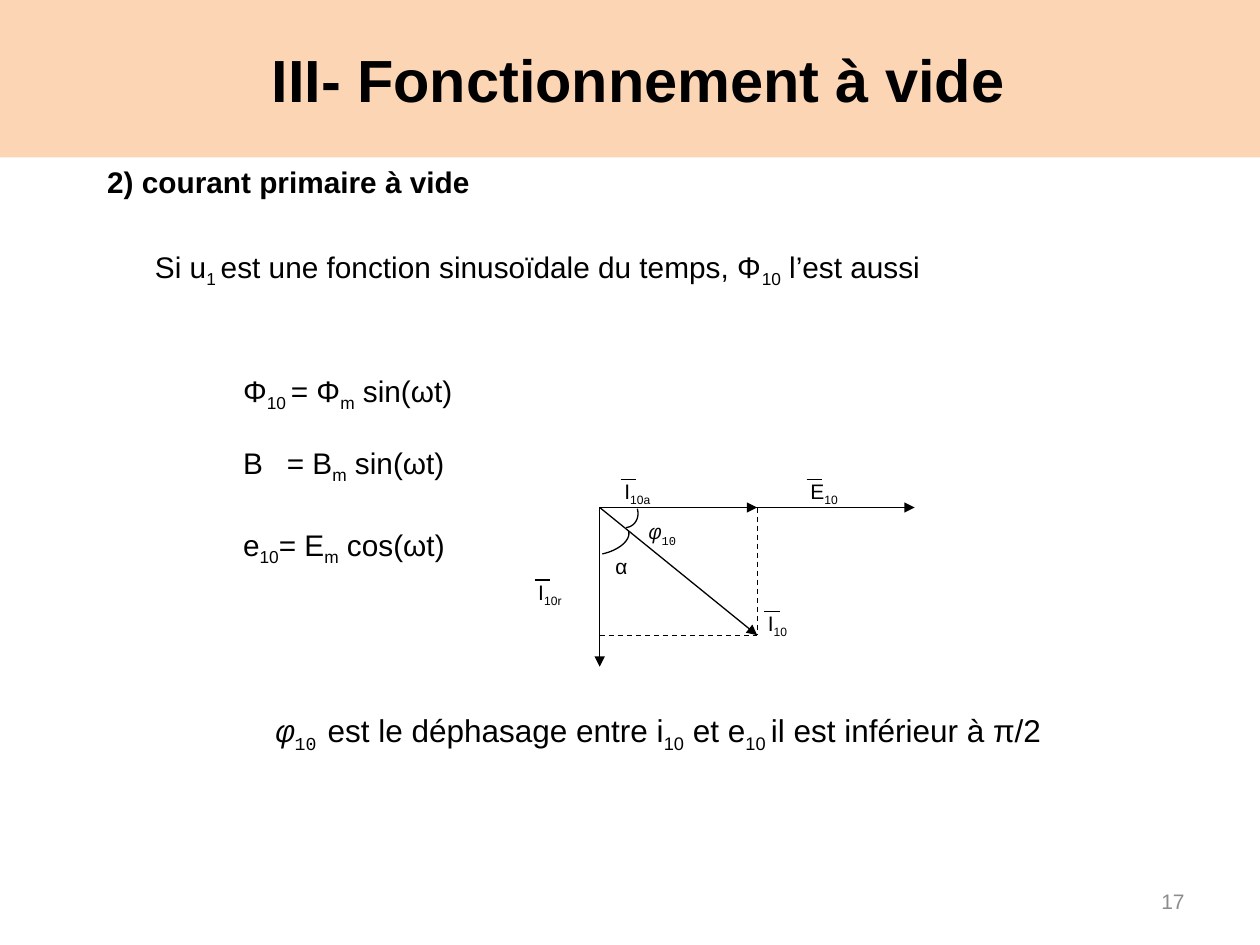
import pptx
import pptx.util
import pptx.dml.color
import pptx.enum.dml
import pptx.enum.shapes
import pptx.enum.text
import pptx.oxml.ns
from lxml import etree

Pt = pptx.util.Pt
ALIGN = pptx.enum.text.PP_ALIGN
ANCHOR = pptx.enum.text.MSO_ANCHOR
BLACK = "000000"
MONO = "Courier New"


def color(code):
    return pptx.dml.color.RGBColor.from_string(code)


def child(parent, tag, **attrs):
    return etree.SubElement(parent, pptx.oxml.ns.qn(tag), attrs)


def write(par, text, size=17, font="Arial", bold=False, italic=False,
          fill=BLACK, align=None):
    """Add text to a paragraph; parts between bars become subscripts."""
    if align is not None:
        par.alignment = align
    for i, part in enumerate(text.split("|")):
        if not part:
            continue
        run = par.add_run()
        run.text = part
        run.font.size = Pt(size)
        run.font.name = font
        run.font.bold = bold
        run.font.italic = italic
        run.font.color.rgb = color(fill)
        if i % 2:
            run.font._element.set("baseline", "-25000")


def place(shape, x, y, w, h):
    shape.left, shape.top, shape.width, shape.height = map(Pt, (x, y, w, h))


def box(shapes, x, y, w, h, wrap=True):
    """Add an empty text box and return its first paragraph."""
    frame = shapes.add_textbox(Pt(x), Pt(y), Pt(w), Pt(h)).text_frame
    frame.word_wrap = wrap
    return frame.paragraphs[0]


def line(shapes, x1, y1, x2, y2, arrow=False, dash=False):
    link = shapes.add_connector(pptx.enum.shapes.MSO_CONNECTOR.STRAIGHT,
                                Pt(x1), Pt(y1), Pt(x2), Pt(y2))
    link.line.color.rgb = color(BLACK)
    link.line.width = Pt(0.75)
    if dash:
        link.line.dash_style = pptx.enum.dml.MSO_LINE.DASH
    if arrow:
        child(link.line._get_or_add_ln(), "a:tailEnd", type="triangle")
    child(link._element.spPr, "a:effectLst")


def curve(shapes, points, steps=16):
    """Draw a cubic curve through its four control points."""
    def spot(t):
        u = 1 - t
        parts = (u ** 3, 3 * u * u * t, 3 * u * t * t, t ** 3)
        return tuple(Pt(sum(k * p[axis] for k, p in zip(parts, points)))
                     for axis in (0, 1))

    spots = [spot(i / steps) for i in range(steps + 1)]
    pen = shapes.build_freeform(*spots[0])
    pen.add_line_segments(spots[1:], close=False)
    arc = pen.convert_to_shape()
    arc.fill.background()
    arc.line.color.rgb = color(BLACK)
    arc.line.width = Pt(0.75)
    arc.shadow.inherit = False


def title(slide, x, y, w, h):
    head = slide.shapes.title
    place(head, x, y, w, h)
    head.fill.solid()
    head.fill.fore_color.rgb = color("FCD5B5")
    head.text_frame.vertical_anchor = ANCHOR.MIDDLE
    write(head.text_frame.paragraphs[0], " III- Fonctionnement à vide",
          size=34, bold=True, align=ALIGN.CENTER)


def intro(slide, x, y, w, h):
    body = slide.placeholders[1]
    place(body, x, y, w, h)
    frame = body.text_frame
    rows = (("2) courant primaire à vide", True, 0, 0),
            ("Si u|1 |est une fonction sinusoïdale du temps, Φ|10| l’est aussi",
             False, 27.36, 28))
    for i, (text, bold, indent, gap) in enumerate(rows):
        par = frame.add_paragraph() if i else frame.paragraphs[0]
        par.space_before = Pt(gap)
        props = par._p.get_or_add_pPr()
        props.set("marL", str(Pt(indent)))
        props.set("indent", "0")
        child(props, "a:buNone")
        write(par, text, bold=bold, align=ALIGN.JUSTIFY)


def laws(slide, x, y, w, h):
    rows = ((0, "Φ|10 |= Φ|m| sin(ωt)"),
            (41, "B\t= B|m| sin(ωt)"),
            (88, "e|10|= E|m| cos(ωt)"))
    for drop, text in rows:
        par = box(slide.shapes, x, y + drop, w, h, wrap=False)
        if "\t" in text:
            tabs = child(par._p.get_or_add_pPr(), "a:tabLst")
            child(tabs, "a:tab", pos=str(Pt(25)), algn="l")
        write(par, text)


def diagram(slide, x, y, w, h):
    """Draw the phasors from an origin at the top left of the box."""
    shapes = slide.shapes.add_group_shape().shapes
    mid, low = x + w / 2, y + 73
    line(shapes, x, y, x + w, y, arrow=True)
    line(shapes, x, y, mid, y, arrow=True)
    line(shapes, x, y, x, y + h, arrow=True)
    line(shapes, x, y, mid, low, arrow=True)
    line(shapes, x, low, mid, low, dash=True)
    line(shapes, mid, y, mid, low, dash=True)

    arcs = (((1.5, 26.5), (11, 24.5), (18, 18.5), (16.5, 13.5)),
            ((15, 11.5), (20, 11), (23, 6), (21.5, 0.7)))
    for arc in arcs:
        curve(shapes, [(x + dx, y + dy) for dx, dy in arc])

    labels = ((7, -20, "I|10a|"), (113.3, -20, "E|10|"),
              (-42.2, 37.5, "I|10r|"), (89, 55.5, "I|10|"))
    for dx, dy, text in labels:
        left, top = x + dx, y + dy
        write(box(shapes, left, top, 45, 22), text, size=12)
        line(shapes, left + 5, top + 4, left + 14, top + 4)

    write(box(shapes, x + 1.5, y + 23, 43, 21), "α", size=12, font=MONO)
    par = box(shapes, x + 21, y + 3, 43, 21)
    write(par, "φ", size=12, font=MONO, italic=True)
    write(par, "|10|", size=12, font=MONO)


def note(slide, x, y, w, h):
    par = box(slide.shapes, x, y, w, h)
    write(par, "φ", size=18, font=MONO, italic=True)
    write(par, "|10 |", size=18, font=MONO)
    write(par, "est le déphasage entre i|10| et e|10 |il est inférieur à π/2",
          size=18)


def number(slide, x, y, w, h):
    par = box(slide.shapes, x, y, w, h)
    slide.shapes[-1].text_frame.vertical_anchor = ANCHOR.MIDDLE
    write(par, "17", size=12, fill="8C8C8C", align=ALIGN.RIGHT)


def main():
    deck = pptx.Presentation()
    deck.slide_width, deck.slide_height = Pt(720), Pt(540)
    slide = deck.slides.add_slide(deck.slide_layouts[1])
    title(slide, 0, 0, 720, 90)
    intro(slide, 54, 90, 607, 78.5)
    laws(slide, 131.8, 209.5, 143, 28)
    diagram(slide, 342.7, 290, 180, 91)
    note(slide, 150.5, 403, 495, 29)
    number(slide, 516, 500.5, 168, 29)
    deck.save("out.pptx")


if __name__ == "__main__":
    main()
